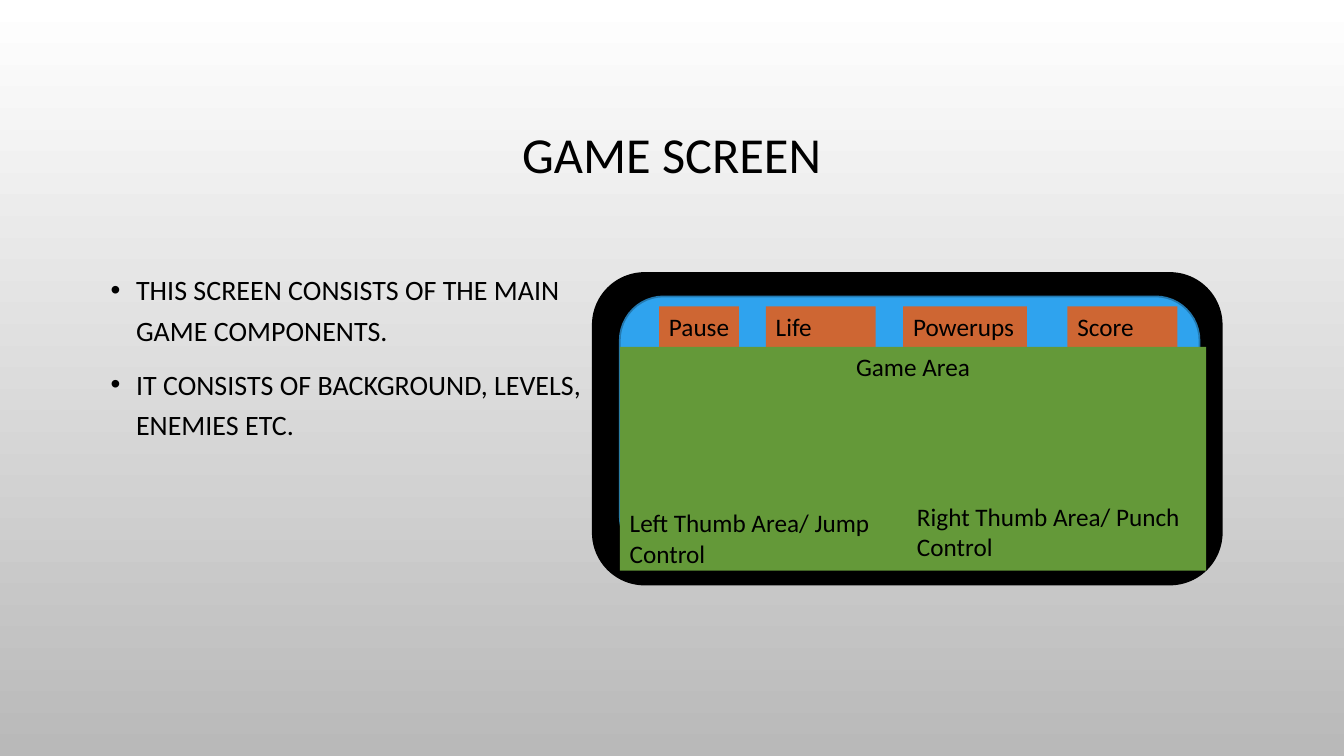
from lxml.etree import SubElement
from pptx import Presentation
from pptx.dml.color import RGBColor
from pptx.enum.shapes import MSO_SHAPE as Preset
from pptx.enum.text import MSO_ANCHOR as Anchor, PP_ALIGN as Align
from pptx.oxml.ns import qn
from pptx.util import Cm, Pt

COLOURS = {
    "text": "000000", "phone": "000000",
    "sky": "2FA3EE", "sky_edge": "2379B0",
    "button": "CE6633", "ground": "649939",
    "page_top": "FFFFFF", "page_bottom": "B9B9B9",
}


def colour(name):
    return RGBColor.from_string(COLOURS[name])


class SlideBuilder:
    font = "Calibri"
    label_size = 18

    def __init__(self, deck):
        self.page = deck.slides.add_slide(deck.slide_layouts[6])

    def background(self, top, bottom):
        fill = self.page.background.fill
        fill.gradient()
        fill.gradient_angle = 270
        for stop, name, position in zip(fill.gradient_stops, (top, bottom), (0, 1)):
            stop.color.rgb = colour(name)
            stop.position = position

    def shape(self, preset, area, fill, edge=None):
        box = self.page.shapes.add_shape(preset, *map(Cm, area))
        box.shadow.inherit = False
        box.fill.solid()
        box.fill.fore_color.rgb = colour(fill)
        if edge:
            box.line.color.rgb = colour(edge)
            box.line.width = Pt(1.25)
        else:
            box.line.fill.background()
        return box

    def add_span(self, para, text, size, align=Align.LEFT):
        para.alignment = align
        span = para.add_run()
        span.text = text
        span.font.name = self.font
        span.font.size = Pt(size)
        span.font.color.rgb = colour("text")

    def frame(self, box, anchor=Anchor.TOP):
        frame = box.text_frame
        frame.word_wrap = True
        frame.vertical_anchor = anchor
        return frame

    def text_box(self, area, anchor=Anchor.TOP):
        return self.frame(self.page.shapes.add_textbox(*map(Cm, area)), anchor)

    def title(self, area, text):
        para = self.text_box(area, Anchor.MIDDLE).paragraphs[0]
        para.line_spacing = 0.9
        self.add_span(para, text, 36, Align.CENTER)

    def bullets(self, area, items):
        frame = self.text_box(area)
        for index, item in enumerate(items):
            para = frame.add_paragraph() if index else frame.paragraphs[0]
            para.line_spacing = 1.2
            if index:
                para.space_before = Pt(10)
            properties = para._p.get_or_add_pPr()
            properties.set("marL", str(Cm(0.64)))
            properties.set("indent", str(Cm(-0.64)))
            SubElement(properties, qn("a:buFont")).set("typeface", "Arial")
            SubElement(properties, qn("a:buChar")).set("char", "•")
            self.add_span(para, item, 20)

    def label(self, area, text):
        self.add_span(self.text_box(area).paragraphs[0], text, self.label_size)

    def panel(self, area, fill, text, align=Align.LEFT):
        frame = self.frame(self.shape(Preset.RECTANGLE, area, fill))
        if align == Align.LEFT:
            frame.margin_right = 0
        self.add_span(frame.paragraphs[0], text, self.label_size, align)


def main():
    deck = Presentation()
    deck.slide_width, deck.slide_height = Cm(33.87), Cm(19.05)
    slide = SlideBuilder(deck)
    slide.background("page_top", "page_bottom")
    slide.title((2.54, 1.73, 28.78, 4.45), "GAME SCREEN")
    slide.bullets((2.54, 6.58, 12.45, 9.5), [
        "THIS SCREEN CONSISTS OF THE MAIN GAME COMPONENTS.",
        "IT CONSISTS OF BACKGROUND, LEVELS, ENEMIES ETC.",
    ])

    slide.shape(Preset.ROUNDED_RECTANGLE, (14.94, 6.88, 15.85, 7.85), "phone", "phone")
    slide.shape(Preset.ROUNDED_RECTANGLE, (15.62, 7.47, 14.61, 6.65), "sky", "sky_edge")
    buttons = [
        ("Pause", 16.61, 2.01), ("Life", 19.3, 2.77),
        ("Powerups", 22.76, 3.12), ("Score", 26.9, 2.77),
    ]
    for text, left, width in buttons:
        slide.panel((left, 7.72, width, 1.02), "button", text)
    slide.panel((15.62, 8.74, 14.78, 5.64), "ground", "Game Area", Align.CENTER)
    slide.label((15.62, 12.67, 7.14, 1.8), "Left Thumb Area/ Jump Control")
    slide.label((22.86, 12.5, 7.14, 1.8), "Right Thumb Area/ Punch Control")
    deck.save("out.pptx")


if __name__ == "__main__":
    main()
